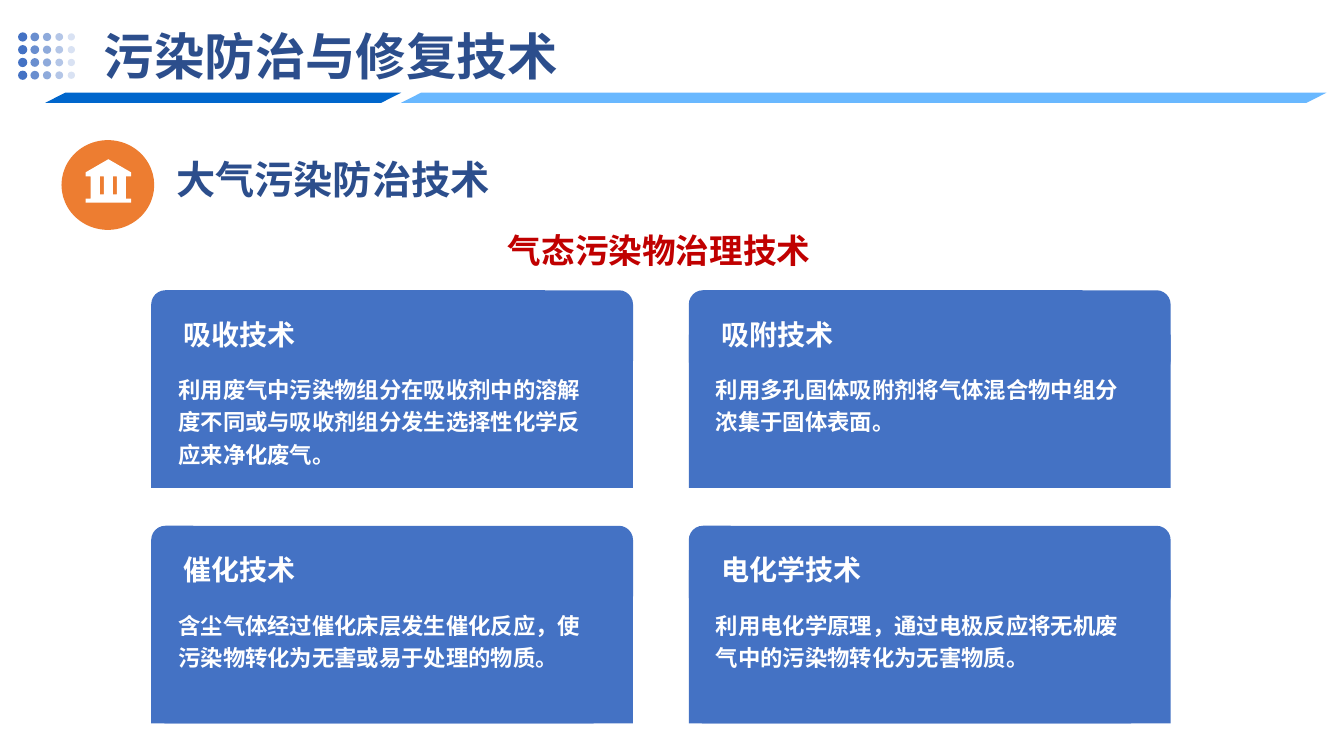
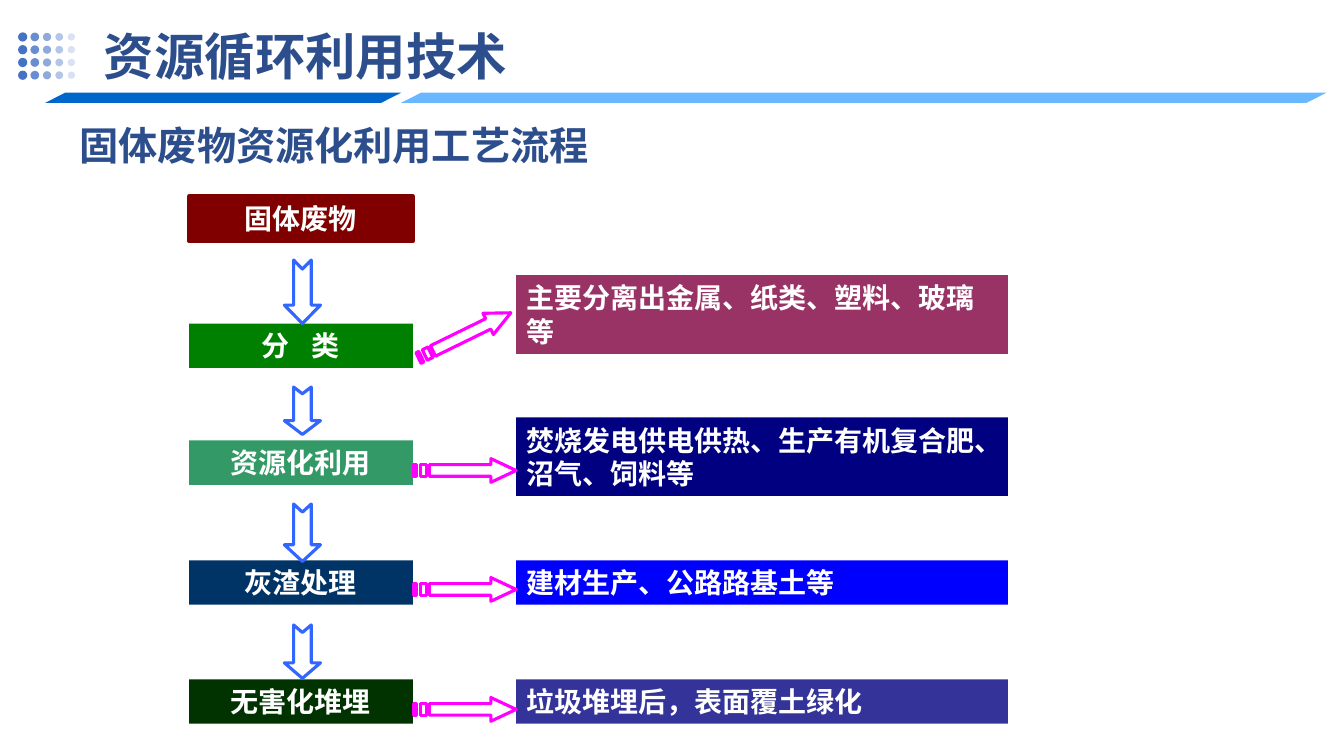
import pptx
import pptx.util
import pptx.dml.color
import pptx.enum.shapes
import pptx.enum.text
import pptx.oxml
import pptx.oxml.ns

KIND = pptx.enum.shapes.MSO_SHAPE
ALIGN = pptx.enum.text.PP_ALIGN
ANCHOR = pptx.enum.text.MSO_ANCHOR
CELL = pptx.util.Inches(1) / 12
FONT = "Arial"
NAVY, BLUE, WHITE = "2C4E8C", "4472C4", "FFFFFF"

CARDS = [
    ("吸收技术", "利用废气中污染物组分在吸收剂中的溶解度不同或与吸收剂组分发生选择性化学反应来净化废气。"),
    ("吸附技术", "利用多孔固体吸附剂将气体混合物中组分浓集于固体表面。"),
    ("催化技术", "含尘气体经过催化床层发生催化反应，使污染物转化为无害或易于处理的物质。"),
    ("电化学技术", "利用电化学原理，通过电极反应将无机废气中的污染物转化为无害物质。"),
]
STEPS = [
    (23.4, "800000", [("固体废物", 0)]),
    (38.52, "008000", [("分", 0), (" ", 10), ("类", 0)]),
    (52.44, "339966", [("资源化利用", 0)]),
    (66.72, "003366", [("灰渣处理", 0)]),
    (80.88, "003300", [("无害化堆埋", 0)]),
]
RESULTS = [
    (32.76, 9.36, "993366", "主要分离出金属、纸类、塑料、玻璃等"),
    (49.68, 9.36, "000080", "焚烧发电供电供热、生产有机复合肥、沼气、饲料等"),
    (66.72, 5.28, "0000FF", "建材生产、公路路基土等"),
    (80.88, 5.28, "333399", "垃圾堆埋后，表面覆土绿化"),
]
DOWN_ARROWS = [(34.74, 7.56), (48.9, 5.64), (63.42, 6.84), (77.58, 6.36)]
SIDE_ARROWS = [(38.52, 333.9), (54.6, 0), (68.76, 0), (83.04, 0)]


def cells(*values):
    """Convert grid cells to slide lengths."""
    return [pptx.util.Emu(round(value * CELL)) for value in values]


def color(text):
    """Turn a hex string into a colour."""
    return pptx.dml.color.RGBColor.from_string(text)


def block(left, top, width, height):
    """List the corners of a rectangle."""
    right, bottom = left + width, top + height
    return [(left, top), (right, top), (right, bottom), (left, bottom)]


class Painter:
    """Hold the deck style and the current slide."""

    def __init__(self):
        """Start a deck of 160 columns by 90 rows."""
        self.deck = pptx.Presentation()
        self.deck.slide_width, self.deck.slide_height = cells(160, 90)
        self.page = None

    def start(self, title):
        """Add a slide with its title, dots and bands."""
        self.page = self.deck.slides.add_slide(self.deck.slide_layouts[5])
        box = self.page.shapes.title
        box.left, box.top, box.width, box.height = cells(11.16, 2.28, 142.32, 8.52)
        self.add_text(box, [(title, 0)], 36, NAVY, anchor=ANCHOR.MIDDLE)
        for row in range(4):
            for column in range(5):
                size = 1.1 - 0.06 * column
                left, top = 2.7 + 1.45 * column - size / 2, 4.4 + 1.52 * row - size / 2
                self.shape(KIND.OVAL, (left, top, size, size), BLUE, alpha=100 - 20 * column)
        for left, width, fill in ((5.4, 42.36, "0066CC"), (47.76, 110.16, "69B8FF")):
            band = self.shape(KIND.PARALLELOGRAM, (left, 11.04, width, 1.2), fill)
            band.adjustments[0] = 1.97

    def finish(self, shape, fill=None, line=None, weight=2.25):
        """Set the fill and line of a shape without a shadow."""
        shape.shadow.inherit = False
        if fill:
            shape.fill.solid()
            shape.fill.fore_color.rgb = color(fill)
        else:
            shape.fill.background()
        if line:
            shape.line.color.rgb = color(line)
            shape.line.width = pptx.util.Pt(weight)
        else:
            shape.line.fill.background()
        return shape

    def shape(self, kind, place, fill=None, line=None, weight=2.25, alpha=100):
        """Add a preset shape."""
        shape = self.page.shapes.add_shape(kind, *cells(*place))
        self.finish(shape, fill, line, weight)
        if alpha < 100:
            tint = shape.element.spPr.find(".//" + pptx.oxml.ns.qn("a:srgbClr"))
            tint.append(pptx.oxml.parse_xml(
                f'<a:alpha {pptx.oxml.ns.nsdecls("a")} val="{alpha * 1000}"/>'))
        return shape

    def outline(self, contours, fill=None, line=None):
        """Add a freeform made of closed contours."""
        loops = [[cells(*point) for point in contour] for contour in contours]
        builder = self.page.shapes.build_freeform(*loops[0][0])
        for number, points in enumerate(loops):
            if number:
                builder.move_to(*points[0])
            builder.add_line_segments(points[1:], close=True)
        return self.finish(builder.convert_to_shape(), fill, line)

    def add_text(self, box, runs, size, ink=WHITE, align=ALIGN.LEFT, anchor=ANCHOR.TOP,
                 insets=(1.2, 0.6, 1.2, 0.6), spacing=1.0, wrap=True):
        """Fill a box with one paragraph of (text, tracking) runs."""
        frame = box.text_frame
        frame.word_wrap = wrap
        frame.auto_size = pptx.enum.text.MSO_AUTO_SIZE.NONE
        frame.vertical_anchor = anchor
        (frame.margin_left, frame.margin_top,
         frame.margin_right, frame.margin_bottom) = cells(*insets)
        para = frame.paragraphs[0]
        para.alignment, para.line_spacing = align, spacing
        for text, tracking in runs:
            span = para.add_run()
            span.text = text
            span.font.size, span.font.bold = pptx.util.Pt(size), True
            span.font.color.rgb = color(ink)
            span.font.name = FONT
            style = span._r.get_or_add_rPr()
            style.append(pptx.oxml.parse_xml(
                f'<a:ea {pptx.oxml.ns.nsdecls("a")} typeface="{FONT}"/>'))
            if tracking:
                style.set("spc", str(tracking * 100))

    def label(self, place, text, size, ink, **style):
        """Add a text box."""
        box = self.page.shapes.add_textbox(*cells(*place))
        self.add_text(box, [(text, 0)], size, ink, **style)

    def heading(self, left, top, text):
        """Add a section heading."""
        self.label((left, top, 70.8, 6), text, 28, NAVY,
                   insets=(1.44, 0.72, 1.44, 0.72), spacing=0.77)

    def card(self, left, top, title, body):
        """Add a card with a rounded top, a title and a body."""
        self.shape(KIND.RECTANGLE, (left, top + 5.28, 57.36, 18.24), BLUE)
        self.shape(KIND.ROUNDED_RECTANGLE, (left, top, 57.36, 10.08), BLUE)
        parts = (((left + 2.16, top + 0.72, 52.92, 8.28), title, 20),
                 ((left + 1.56, top + 7.92, 51.12, 15.6), body, 16))
        for place, text, size in parts:
            box = self.shape(KIND.RECTANGLE, place, BLUE)
            self.add_text(box, [(text, 0)], size, insets=(1.68, 1.68, 0.72, 1.68), spacing=1.2)

    def node(self, place, fill, runs, align, line=None):
        """Add a filled flow box."""
        box = self.shape(KIND.RECTANGLE, place, fill, line, 3)
        self.add_text(box, runs, 20, align=align, anchor=ANCHOR.MIDDLE)

    def down_arrow(self, middle, length):
        """Add a notched arrow that points down."""
        thick = 4.3
        place = (36 - length / 2, middle - thick / 2, length, thick)
        arrow = self.shape(KIND.NOTCHED_RIGHT_ARROW, place, line="3366FF")
        arrow.rotation = 90
        arrow.adjustments[0] = 0.49
        arrow.adjustments[1] = 0.29 * length / thick

    def side_arrow(self, left, top, turn):
        """Add an arrow with a striped tail."""
        upper, lower, neck = top + 0.72, top + 2.1, left + 9.24
        head = [(neck, top), (neck, upper), (left + 1.92, upper), (left + 1.92, lower),
                (neck, lower), (neck, top + 2.82), (left + 12.24, top + 1.41)]
        stripes = [block(left + shift, upper, width, lower - upper)
                   for shift, width in ((0.84, 0.72), (0, 0.36))]
        self.outline([head] + stripes, line="FF00FF").rotation = turn

    def museum(self):
        """Add the round badge with a columned building."""
        self.shape(KIND.OVAL, (7.32, 16.68, 11.04, 10.68), "ED7D31")
        roof = [(10.2, 20.52), (12.9, 18.96), (15.6, 20.52), (15.6, 21), (10.2, 21)]
        base = [block(10.2, 23.64, 5.4, 0.48), block(10.8, 23.16, 4.2, 0.48)]
        pillars = [block(10.8 + 1.56 * number, 21, 1.08, 2.16) for number in range(3)]
        self.outline([roof] + base + pillars, WHITE)


def main():
    """Build and save the deck."""
    painter = Painter()

    painter.start("污染防治与修复技术")
    painter.heading(19.56, 18.96, "大气污染防治技术")
    painter.museum()
    painter.label((59.28, 24.84, 38.76, 7.32), "气态污染物治理技术", 24, "C00000",
                  spacing=1.4, wrap=False)
    for number, (title, body) in enumerate(CARDS):
        row, column = divmod(number, 2)
        painter.card(18 + 64 * column, 34.56 + 28.04 * row, title, body)

    painter.start("资源循环利用技术")
    painter.heading(8.04, 14.88, "固体废物资源化利用工艺流程")
    for number, (top, fill, runs) in enumerate(STEPS):
        painter.node((22.5, top, 26.64, 5.28), fill, runs, ALIGN.CENTER,
                     None if number else fill)
    for top, height, fill, text in RESULTS:
        painter.node((61.44, top, 58.56, height), fill, [(text, 0)], ALIGN.LEFT)
    for middle, length in DOWN_ARROWS:
        painter.down_arrow(middle, length)
    for top, turn in SIDE_ARROWS:
        painter.side_arrow(49.2, top, turn)

    painter.deck.save("out.pptx")


if __name__ == "__main__":
    main()
